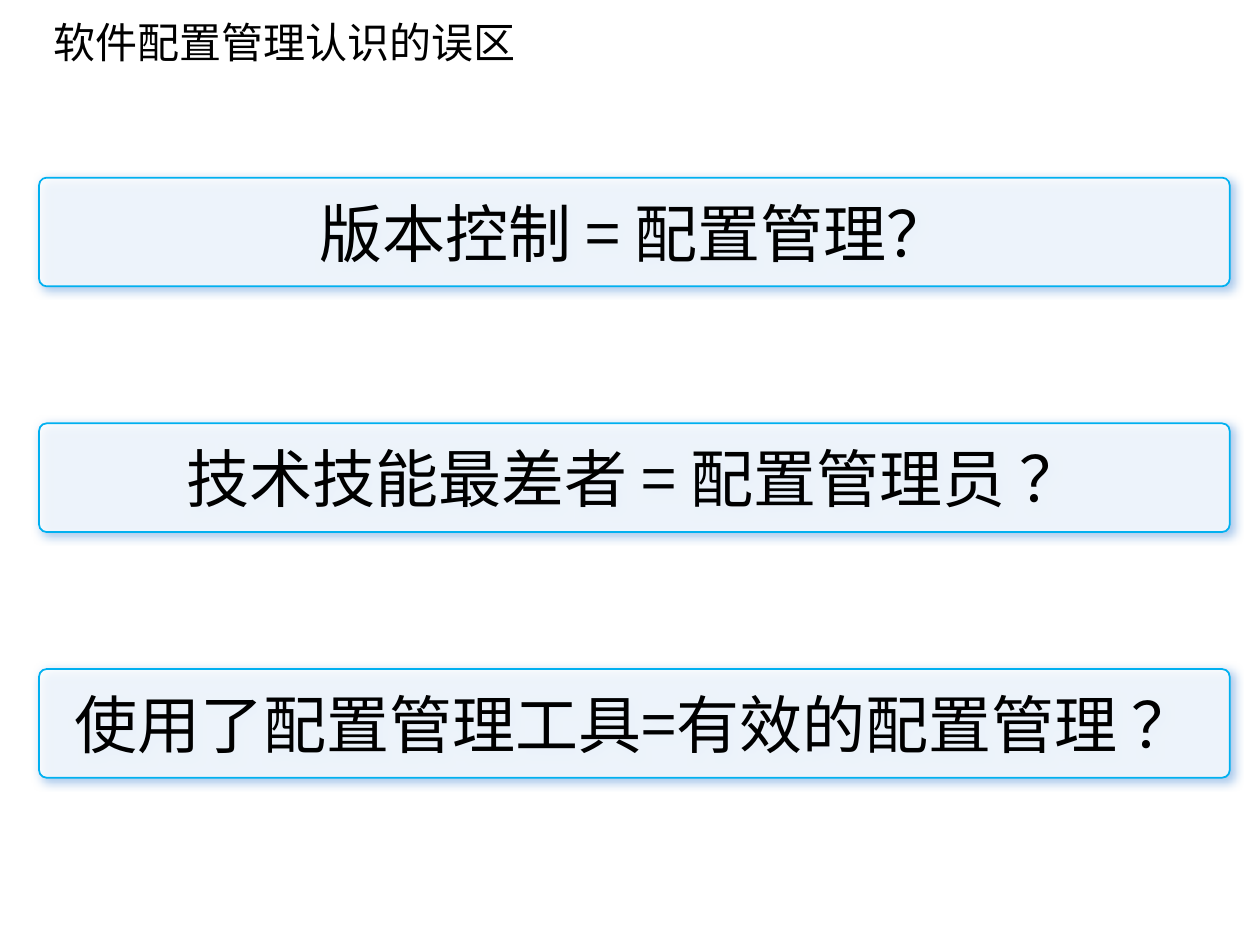
from lxml import etree
from pptx import Presentation
from pptx.dml.color import RGBColor
from pptx.enum.shapes import MSO_SHAPE
from pptx.enum.text import MSO_ANCHOR, PP_ALIGN
from pptx.oxml.ns import qn
from pptx.util import Inches, Pt

ROUNDED = MSO_SHAPE.ROUNDED_RECTANGLE
MIDDLE = MSO_ANCHOR.MIDDLE
LEFT, CENTER = PP_ALIGN.LEFT, PP_ALIGN.CENTER

COLORS = {"text": "000000", "panel": "FFFFFF", "border": "00B0F0", "glow": "91B9E6"}
FONT = "Noto Sans CJK SC"
WIDTH, HEIGHT = Inches(10), Inches(7.5)
FIRST_ROW, ROW_STEP = 0.188, 0.26
MYTHS = [
    "版本控制 = 配置管理？",
    "技术技能最差者 = 配置管理员 ？",
    "使用了配置管理工具=有效的配置管理 ？",
]


def color(name):
    return RGBColor.from_string(COLORS[name])


def write(box, text, size=24, align=LEFT):
    frame = box.text_frame
    frame.word_wrap = True
    frame.vertical_anchor = MIDDLE
    para = frame.paragraphs[0]
    para.alignment = align
    span = para.add_run()
    span.text = text
    span.font.size = Pt(size)
    span.font.name = FONT
    span.font.color.rgb = color("text")
    etree.SubElement(span.font._element, qn("a:ea"), typeface=FONT)


class Painter:
    """Draws styled elements on a page, placed by shares of its size."""

    def __init__(self, page):
        self.page = page

    def area(self, left, top, width, height):
        return (int(left * WIDTH), int(top * HEIGHT),
                int(width * WIDTH), int(height * HEIGHT))

    def title(self, text, *shares):
        box = self.page.shapes.add_textbox(*self.area(*shares))
        write(box, text)

    def panel(self, text, *shares):
        box = self.page.shapes.add_shape(ROUNDED, *self.area(*shares))
        box.adjustments[0] = 0.07
        box.fill.solid()
        box.fill.fore_color.rgb = color("panel")
        fill = box._element.spPr.find(qn("a:solidFill"))
        etree.SubElement(fill[0], qn("a:alpha"), val="80000")
        box.line.color.rgb = color("border")
        box.line.width = Pt(1)
        self.glow(box)
        write(box, text, size=36, align=CENTER)

    def glow(self, box):
        box.shadow.inherit = False
        effects = box._element.spPr.find(qn("a:effectLst"))
        shadow = etree.SubElement(
            effects, qn("a:outerShdw"), blurRad=str(Inches(0.08)),
            dist=str(Inches(0.03)), dir="2700000", algn="tl", rotWithShape="0")
        etree.SubElement(shadow, qn("a:srgbClr"), val=COLORS["glow"])


def main():
    deck = Presentation()
    deck.slide_width, deck.slide_height = WIDTH, HEIGHT
    painter = Painter(deck.slides.add_slide(deck.slide_layouts[6]))
    painter.title("软件配置管理认识的误区", 0.033, -0.004, 0.9, 0.096)
    for row, myth in enumerate(MYTHS):
        painter.panel(myth, 0.031, FIRST_ROW + row * ROW_STEP, 0.945, 0.115)
    deck.save("out.pptx")


if __name__ == "__main__":
    main()
